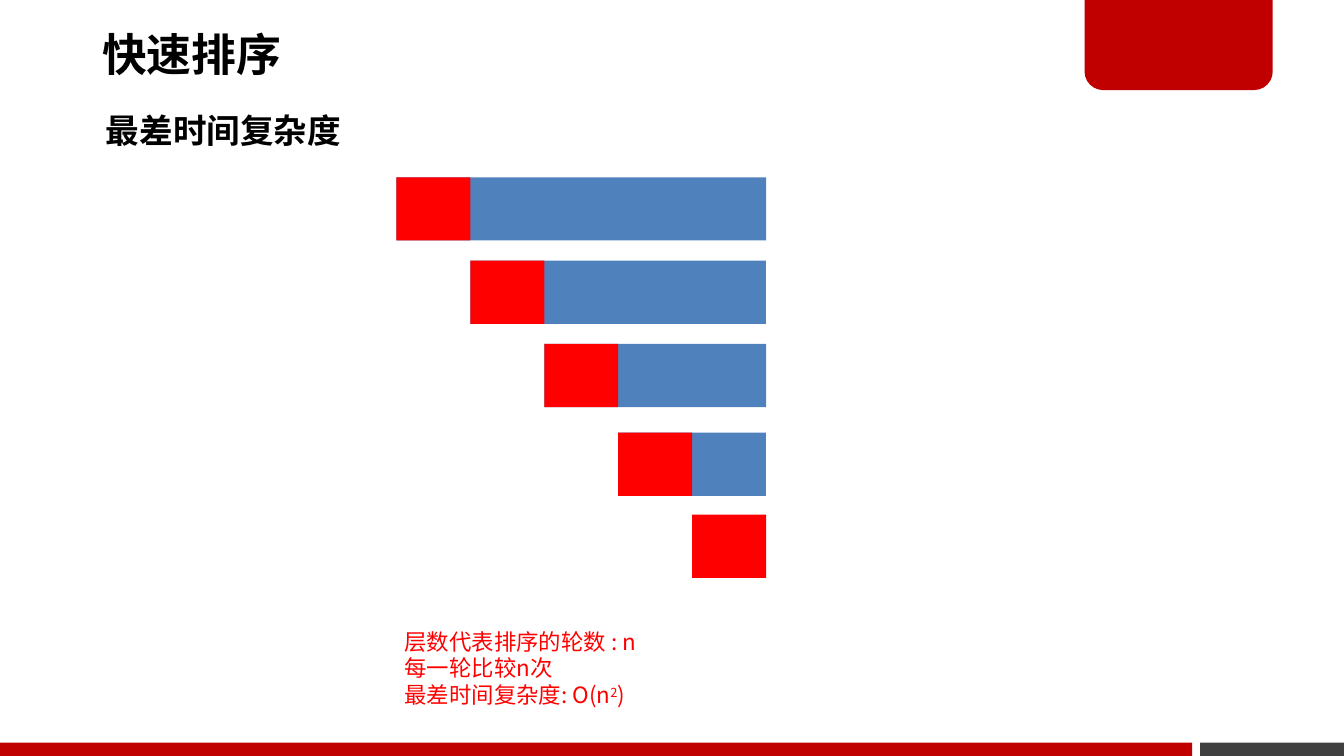
"""Build the slide on the worst-case time complexity of quicksort."""
from dataclasses import dataclass

from lxml.etree import SubElement
from pptx import Presentation
from pptx.dml.color import RGBColor
from pptx.enum.shapes import MSO_SHAPE
from pptx.enum.text import MSO_ANCHOR, MSO_AUTO_SIZE, PP_ALIGN
from pptx.oxml.ns import qn
from pptx.util import Inches, Pt


@dataclass(frozen=True)
class Theme:
    font: str = "Noto Sans CJK SC"
    ink: str = "000000"
    brand: str = "C00000"
    footer: str = "404040"
    pivot: str = "FF0000"
    remaining: str = "4F81BD"
    title_size: int = 24
    heading_size: int = 18
    note_size: int = 12


THEME = Theme()
WIDTH = 10
HEIGHT = WIDTH * 9 / 16
TITLE = "快速排序"
HEADING = "最差时间复杂度"
NOTES = [
    [("层数代表排序的轮数 : n", False)],
    [("每一轮比较n次", False)],
    [("最差时间复杂度: O(n", False), ("2", True), (")", False)],
]
ROUND_TOPS = [1.32, 1.94, 2.56, 3.22, 3.83]
GRID_LEFT, CELL_WIDTH, CELL_HEIGHT = 2.95, 0.55, 0.47
FOOTER_HEIGHT, FOOTER_SPLIT, FOOTER_GAP = 0.1, 8.87, 0.06


def add_block(slide, left, top, width, height, color, kind=MSO_SHAPE.RECTANGLE):
    shape = slide.shapes.add_shape(
        kind, Inches(left), Inches(top), Inches(width), Inches(height))
    shape.shadow.inherit = False
    shape.fill.solid()
    shape.fill.fore_color.rgb = RGBColor.from_string(color)
    shape.line.fill.background()
    return shape


def place(shape, left, top, width, height):
    shape.left, shape.top = Inches(left), Inches(top)
    shape.width, shape.height = Inches(width), Inches(height)


def format_run(run, size, color, bold=False):
    run.font.size = Pt(size)
    run.font.bold = bold
    run.font.color.rgb = RGBColor.from_string(color)
    run.font.name = THEME.font
    SubElement(run.font._element, qn("a:ea"), typeface=THEME.font)


def add_frame(slide):
    footer_top = HEIGHT - FOOTER_HEIGHT
    right_start = FOOTER_SPLIT + FOOTER_GAP
    add_block(slide, right_start, footer_top, WIDTH - right_start,
              FOOTER_HEIGHT, THEME.footer)
    add_block(slide, 0, footer_top, FOOTER_SPLIT, FOOTER_HEIGHT, THEME.brand)
    tab = add_block(slide, 8.07, -0.02, 1.4, 0.69, THEME.brand,
                    MSO_SHAPE.ROUND_2_SAME_RECTANGLE)
    tab.adjustments[0], tab.adjustments[1] = 0, 0.2


def add_title(slide):
    title = slide.shapes.title
    place(title, 0.69, -0.02, 5.89, 0.89)
    frame = title.text_frame
    frame.text = TITLE
    frame.auto_size = MSO_AUTO_SIZE.NONE
    frame.vertical_anchor = MSO_ANCHOR.MIDDLE
    frame.margin_left = frame.margin_right = Inches(0.07)
    frame.margin_top = frame.margin_bottom = Inches(0.04)
    paragraph = frame.paragraphs[0]
    paragraph.alignment = PP_ALIGN.LEFT
    paragraph.line_spacing = 0.9
    format_run(paragraph.runs[0], THEME.title_size, THEME.ink, True)


def add_heading(slide):
    box = slide.shapes.add_textbox(
        Inches(0.69), Inches(0.77), Inches(1.97), Inches(0.4))
    box.text_frame.text = HEADING
    paragraph = box.text_frame.paragraphs[0]
    paragraph.line_spacing = Pt(THEME.heading_size * 1.2)
    format_run(paragraph.runs[0], THEME.heading_size, THEME.ink, True)


def add_rounds(slide):
    count = len(ROUND_TOPS)
    right = GRID_LEFT + count * CELL_WIDTH
    for index, top in enumerate(ROUND_TOPS):
        left = GRID_LEFT + index * CELL_WIDTH
        if index < count - 1:
            add_block(slide, left, top, right - left, CELL_HEIGHT,
                      THEME.remaining)
        add_block(slide, left, top, CELL_WIDTH, CELL_HEIGHT, THEME.pivot)


def add_notes(slide):
    body = slide.placeholders[1]
    place(body, 2.91, 4.62, 2, 0.71)
    frame = body.text_frame
    frame.auto_size = MSO_AUTO_SIZE.NONE
    frame.word_wrap = False
    for index, pieces in enumerate(NOTES):
        paragraph = frame.add_paragraph() if index else frame.paragraphs[0]
        properties = paragraph._p.get_or_add_pPr()
        properties.set("marL", "0")
        properties.set("indent", "0")
        SubElement(properties, qn("a:buNone"))
        paragraph.space_before = Pt(0)
        paragraph.line_spacing = Pt(THEME.note_size * 1.2)
        for text, raised in pieces:
            run = paragraph.add_run()
            run.text = text
            format_run(run, THEME.note_size, THEME.pivot)
            if raised:
                run.font._element.set("baseline", "30000")


def main():
    presentation = Presentation()
    presentation.slide_width = Inches(WIDTH)
    presentation.slide_height = Inches(HEIGHT)
    slide = presentation.slides.add_slide(presentation.slide_layouts[1])
    add_frame(slide)
    add_title(slide)
    add_heading(slide)
    add_rounds(slide)
    add_notes(slide)
    presentation.save("out.pptx")


if __name__ == "__main__":
    main()
